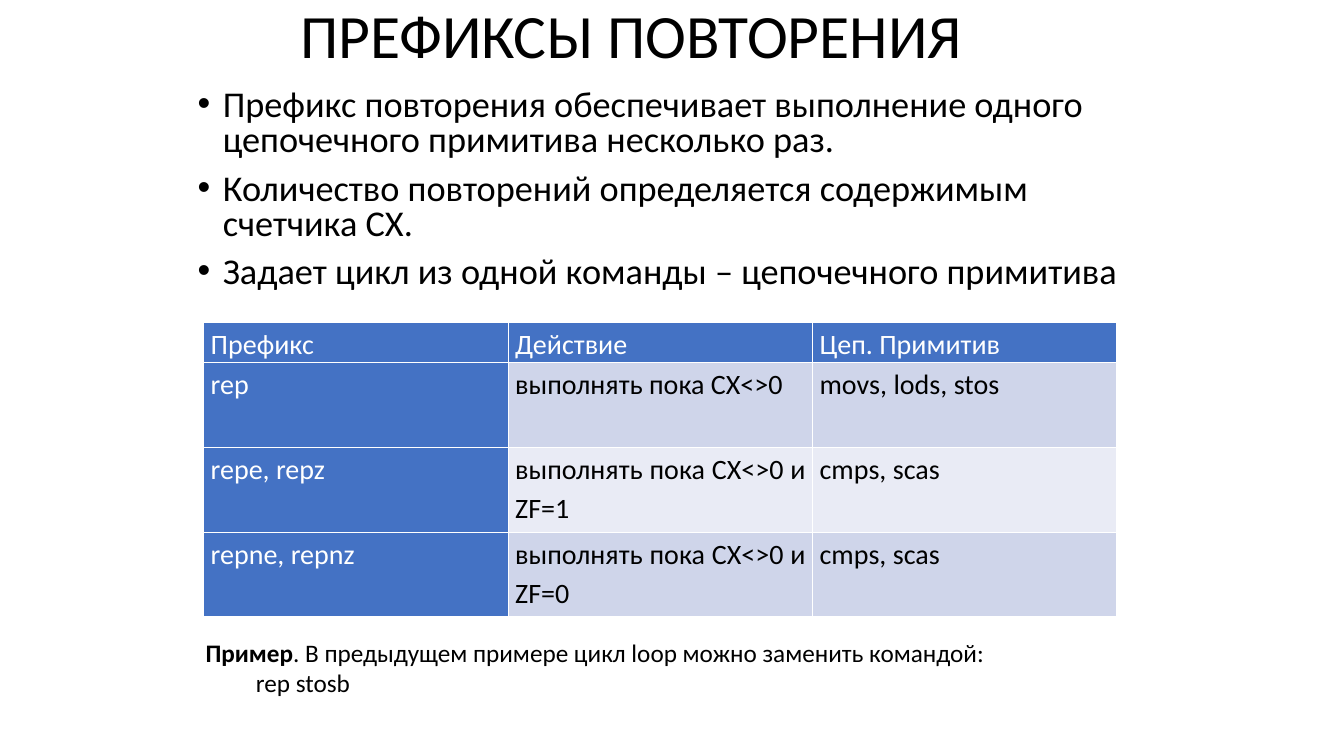
from lxml.etree import SubElement
from pptx import Presentation
from pptx.dml.color import RGBColor
from pptx.enum.text import MSO_ANCHOR, MSO_AUTO_SIZE, PP_ALIGN
from pptx.oxml.ns import qn
from pptx.util import Inches, Pt

TITLE = "ПРЕФИКСЫ ПОВТОРЕНИЯ"
POINTS = [
    "Префикс повторения обеспечивает выполнение одного цепочечного примитива несколько раз.",
    "Количество повторений определяется содержимым счетчика CX.",
    "Задает цикл из одной команды – цепочечного примитива",
]
PREFIXES = [
    ("Префикс", "Действие", "Цеп. Примитив"),
    ("rep", "выполнять пока CX<>0", "movs, lods, stos"),
    ("repe, repz", "выполнять пока CX<>0 и ZF=1", "cmps, scas"),
    ("repne, repnz", "выполнять пока CX<>0 и ZF=0", "cmps, scas"),
]
EXAMPLE_LABEL = "Пример"
EXAMPLE = ". В предыдущем примере цикл loop можно заменить командой:"
COMMAND = "\trep stosb"

COLORS = {"text": "000000", "light": "FFFFFF", "head": "4472C4",
          "odd": "CFD5EA", "even": "E9EBF5"}
FONT = "Calibri"
WIDTH, HEIGHT = 13.33, 7.5
COLUMN = 3.02
HEAD_ROW, ROW = 0.4, 0.84


def place(box, left, top, width, height):
    box.left, box.top = Inches(left), Inches(top)
    box.width, box.height = Inches(width), Inches(height)


def style(para, size, color="text"):
    for span in para.runs:
        span.font.name = FONT
        span.font.size = Pt(size)
        span.font.bold = False
        span.font.color.rgb = RGBColor.from_string(COLORS[color])


def add_bullet(para, indent):
    properties = para._p.get_or_add_pPr()
    properties.set("marL", str(Inches(indent)))
    properties.set("indent", str(-Inches(indent)))
    SubElement(properties, qn("a:buFont")).set("typeface", "Arial")
    SubElement(properties, qn("a:buChar")).set("char", "•")


def add_title(page):
    box = page.shapes.title
    place(box, 2.18, 0, 8.17, 0.77)
    frame = box.text_frame
    frame.text = TITLE
    frame.auto_size = MSO_AUTO_SIZE.NONE
    frame.vertical_anchor = MSO_ANCHOR.MIDDLE
    para = frame.paragraphs[0]
    para.alignment = PP_ALIGN.CENTER
    para.line_spacing = 0.9
    style(para, 44)


def add_points(page):
    box = page.placeholders[1]
    place(box, 1.86, 0.84, 9.37, 2.28)
    frame = box.text_frame
    frame.text = "\n".join(POINTS)
    frame.auto_size = MSO_AUTO_SIZE.NONE
    for para in frame.paragraphs:
        para.line_spacing = 0.8
        para.space_before = Pt(10)
        add_bullet(para, 0.25)
        style(para, 25.9)


def add_prefixes(page):
    rows, columns = len(PREFIXES), len(PREFIXES[0])
    heights = [HEAD_ROW] + [ROW] * (rows - 1)
    table = page.shapes.add_table(
        rows, columns, Inches(2.02), Inches(3.2),
        Inches(COLUMN * columns), Inches(sum(heights))).table
    table.first_col = True
    for column in table.columns:
        column.width = Inches(COLUMN)
    for r, values in enumerate(PREFIXES):
        table.rows[r].height = Inches(heights[r])
        for c, value in enumerate(values):
            heading = r == 0 or c == 0
            cell = table.cell(r, c)
            cell.text = value
            cell.margin_left = cell.margin_right = Inches(0.07)
            cell.margin_top = cell.margin_bottom = 0
            fill = "head" if heading else "odd" if r % 2 else "even"
            cell.fill.solid()
            cell.fill.fore_color.rgb = RGBColor.from_string(COLORS[fill])
            para = cell.text_frame.paragraphs[0]
            para.alignment = PP_ALIGN.JUSTIFY
            para.line_spacing = 1.15
            style(para, 20, "light" if heading else "text")


def add_example(page):
    box = page.shapes.add_textbox(Inches(1.94), Inches(6.27), Inches(9.21), Inches(1.01))
    frame = box.text_frame
    frame.word_wrap = True
    frame.text = EXAMPLE_LABEL
    first = frame.paragraphs[0]
    first.add_run().text = EXAMPLE
    command = frame.add_paragraph()
    command.text = COMMAND
    for para in frame.paragraphs:
        style(para, 18)
    first.runs[0].font.bold = True


def main():
    deck = Presentation()
    deck.slide_width, deck.slide_height = Inches(WIDTH), Inches(HEIGHT)
    page = deck.slides.add_slide(deck.slide_layouts[1])
    add_title(page)
    add_points(page)
    add_prefixes(page)
    add_example(page)
    deck.save("out.pptx")


if __name__ == "__main__":
    main()
